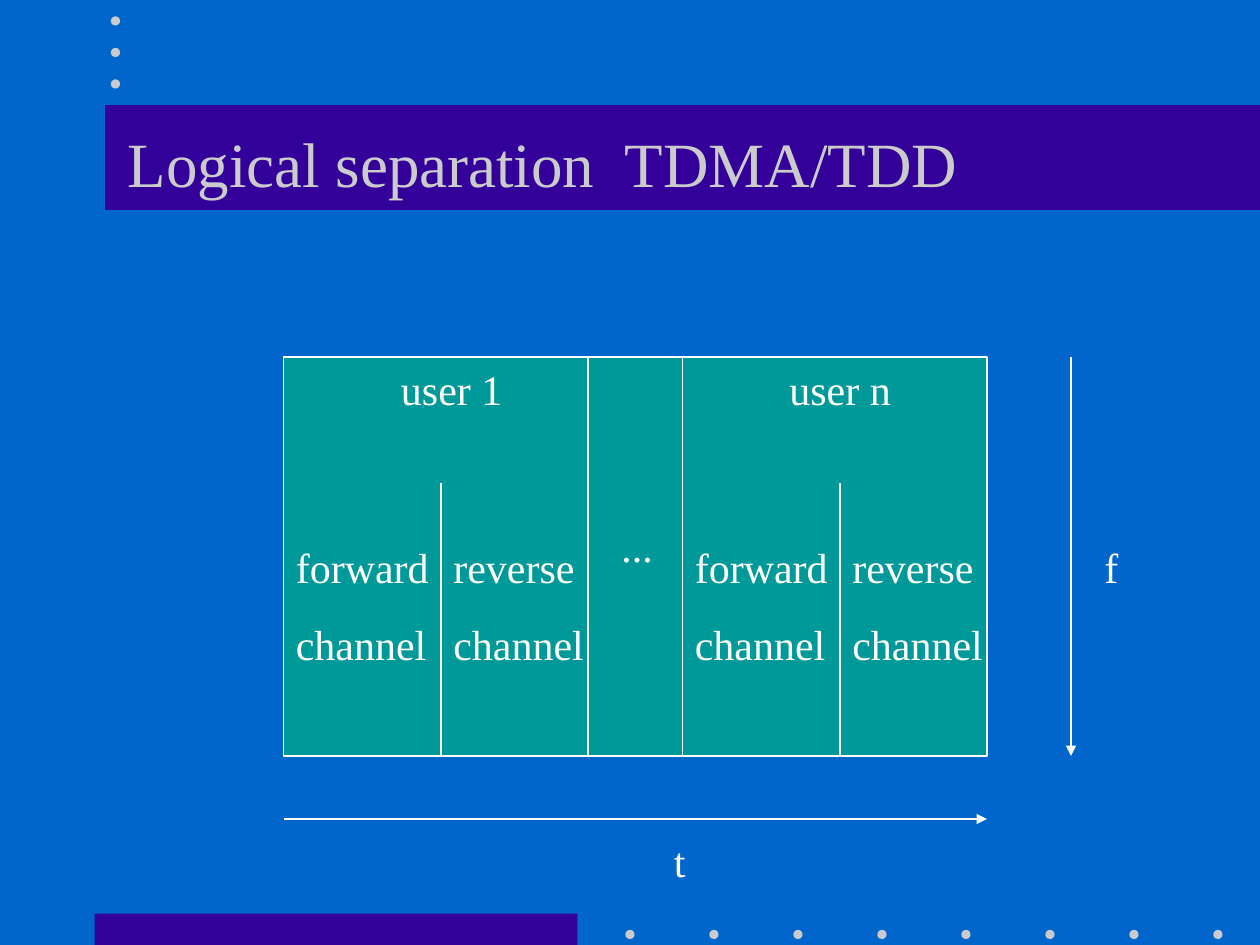
import dataclasses

import lxml.etree
import pptx
import pptx.dml.color
import pptx.enum.shapes
import pptx.enum.text
import pptx.oxml.ns
import pptx.util


@dataclasses.dataclass(frozen=True)
class Theme:
    back: str = "0066CC"
    band: str = "330099"
    dot: str = "CBCBCB"
    frame: str = "009999"
    ink: str = "FFFFFF"
    font: str = "Times New Roman"
    head: int = 36
    body: int = 24
    gap: int = 15
    rule: int = 1


THEME = Theme()
SHAPE = pptx.enum.shapes.MSO_SHAPE
ANCHOR = pptx.enum.text.MSO_ANCHOR
WIDE, HIGH = 10, 7.5
COLS = 120
DOT = 0.88

LEFT, TOP, RIGHT, BASE = 27, 34, 94, 72
SPLIT = 46
LABEL = 51


def unit(n):
    return pptx.util.Inches(n * WIDE / COLS)


def tint(code):
    return pptx.dml.color.RGBColor.from_string(code)


def block(slide, kind, x, y, w, h, fill, line=None):
    shape = slide.shapes.add_shape(kind, unit(x), unit(y), unit(w), unit(h))
    shape.shadow.inherit = False
    shape.fill.solid()
    shape.fill.fore_color.rgb = tint(fill)
    if line:
        shape.line.color.rgb = tint(line)
        shape.line.width = pptx.util.Pt(THEME.rule)
    else:
        shape.line.fill.background()


def dot(slide, x, y):
    block(slide, SHAPE.OVAL, x - DOT / 2, y - DOT / 2, DOT, DOT, THEME.dot)


def write(slide, text, x, y, w, h, size=THEME.body, color=THEME.ink,
          anchor=ANCHOR.TOP):
    box = slide.shapes.add_textbox(unit(x), unit(y), unit(w), unit(h))
    frame = box.text_frame
    frame.word_wrap = True
    frame.vertical_anchor = anchor
    frame.text = text
    for i, para in enumerate(frame.paragraphs):
        if i:
            para.space_before = pptx.util.Pt(THEME.gap)
        para.font.name = THEME.font
        para.font.size = pptx.util.Pt(size)
        para.font.color.rgb = tint(color)


def rule(slide, x1, y1, x2, y2, arrow=False):
    line = slide.shapes.add_connector(
        pptx.enum.shapes.MSO_CONNECTOR.STRAIGHT,
        unit(x1), unit(y1), unit(x2), unit(y2))
    line.line.color.rgb = tint(THEME.ink)
    line.line.width = pptx.util.Pt(THEME.rule)
    if arrow:
        tail = lxml.etree.SubElement(
            line.line._get_or_add_ln(), pptx.oxml.ns.qn("a:tailEnd"))
        tail.set("type", "triangle")
    lxml.etree.SubElement(
        line._element.spPr, pptx.oxml.ns.qn("a:effectLst"))


def decor(slide):
    slide.background.fill.solid()
    slide.background.fill.fore_color.rgb = tint(THEME.back)
    block(slide, SHAPE.RECTANGLE, 9, 87, 46, 3, THEME.band)
    block(slide, SHAPE.RECTANGLE, 10, 10, 110, 10, THEME.band)
    for i in range(8):
        dot(slide, 60 + 8 * i, 89)
    for i in range(3):
        dot(slide, 11, 2 + 3 * i)


def user(slide, name, left, split, mid):
    write(slide, name, mid, TOP, 14, 6)
    write(slide, "forward\nchannel", left, LABEL, 17, 13.3)
    write(slide, "reverse\nchannel", split, LABEL, 17, 13.3)
    rule(slide, split, SPLIT, split, BASE)


def main():
    deck = pptx.Presentation()
    deck.slide_width = pptx.util.Inches(WIDE)
    deck.slide_height = pptx.util.Inches(HIGH)
    slide = deck.slides.add_slide(deck.slide_layouts[6])

    decor(slide)
    write(slide, "Logical separation  TDMA/TDD", 11, 8, 100, 15,
          size=THEME.head, color=THEME.dot, anchor=ANCHOR.MIDDLE)

    block(slide, SHAPE.RECTANGLE, LEFT, TOP, RIGHT - LEFT, BASE - TOP,
          THEME.frame, line=THEME.ink)
    user(slide, "user 1", LEFT, 42, 37)
    user(slide, "user n", 65, 80, 74)
    write(slide, "...", 58, 49, 6, 6)
    for x in (56, 65):
        rule(slide, x, TOP, x, BASE)

    rule(slide, 102, TOP, 102, BASE, arrow=True)
    write(slide, "f", 104, LABEL, 7, 6)
    rule(slide, LEFT, 78, RIGHT, 78, arrow=True)
    write(slide, "t", 63, 79, 3, 6)

    deck.save("out.pptx")


if __name__ == "__main__":
    main()
